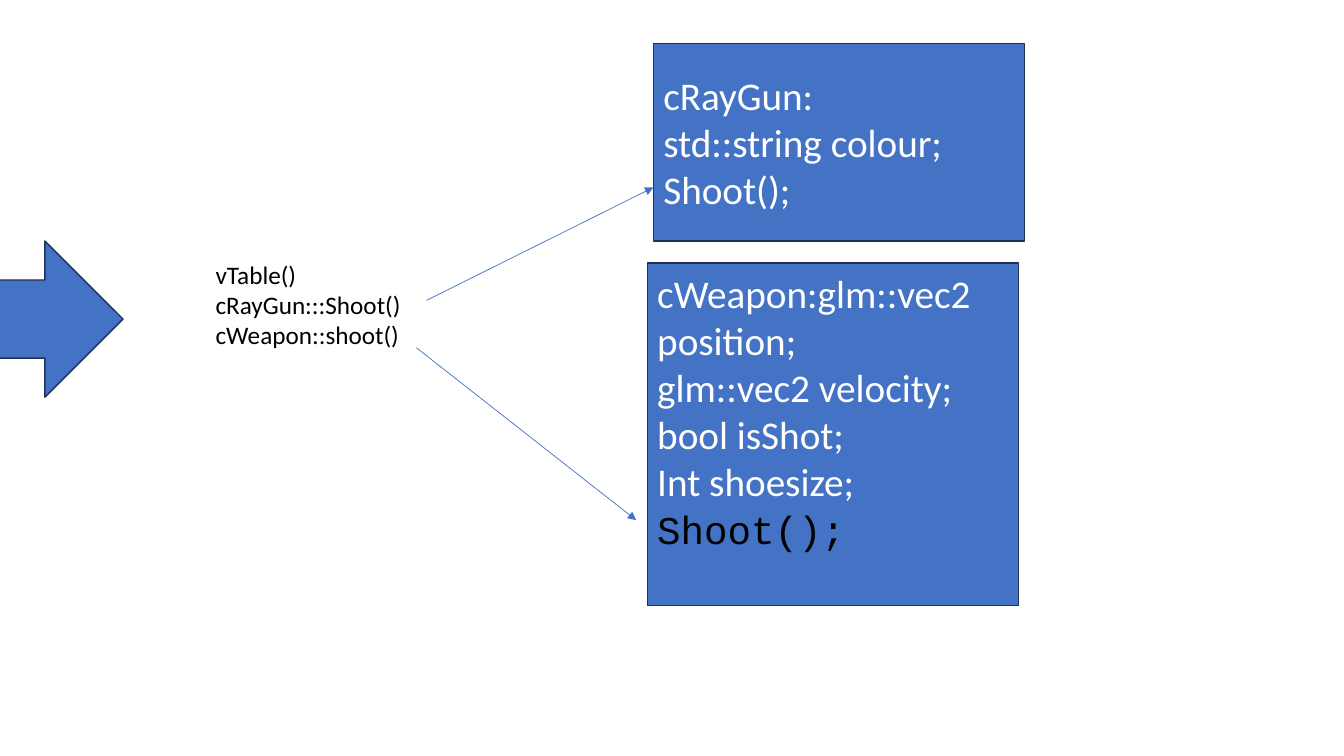
import pptx
import pptx.dml.color
import pptx.enum.shapes
import pptx.enum.text
import pptx.oxml.ns
import pptx.util
from dataclasses import dataclass
from lxml import etree
from pptx.util import Inches

SHAPE = pptx.enum.shapes.MSO_SHAPE
ANCHOR = pptx.enum.text.MSO_ANCHOR


@dataclass(frozen=True)
class Theme:
    blue: str = "4472C4"
    outline: str = "1E3256"
    white: str = "FFFFFF"
    black: str = "000000"
    body: str = "Calibri"
    code: str = "Courier New"
    class_size: int = 28
    table_size: int = 18
    outline_width: float = 1
    pointer_width: float = 0.5


THEME = Theme()

# Boxes are (left, top, width, height) in inches.
CLASSES = [
    {
        "box": (6.42, 2.61, 3.68, 3.4),
        "members": ["cWeapon:glm::vec2 position;", "glm::vec2 velocity;",
                    "bool isShot;", "Int shoesize;"],
        "code_members": ["Shoot();"],
        "space_below": 0.52,
    },
    {
        "box": (6.48, 0.43, 3.68, 1.96),
        "members": ["cRayGun:", "std::string colour;", "Shoot();"],
        "code_members": [],
        "space_below": 0.05,
    },
]
INCOMING_ARROW = (-2.5, 2.39, 3.72, 1.55)
VTABLE_BOX = (2.04, 2.52, 3.2, 1.01)
VTABLE = ["vTable()", "cRayGun:::Shoot()", "cWeapon::shoot()"]
POINTERS = [((4.23, 2.98), (6.48, 1.86)), ((4.13, 3.45), (6.31, 5.16))]


def inches(values):
    return [Inches(value) for value in values]


def rgb(colour):
    return pptx.dml.color.RGBColor.from_string(colour)


def write_lines(frame, lines, *, size, colour, font=THEME.body):
    """Add one left-aligned paragraph per line, after any text already there."""
    frame.word_wrap = True
    for line in lines:
        paragraph = frame.paragraphs[-1]
        if paragraph.runs:
            paragraph = frame.add_paragraph()
        paragraph.alignment = pptx.enum.text.PP_ALIGN.LEFT
        run = paragraph.add_run()
        run.text = line
        run.font.size = pptx.util.Pt(size)
        run.font.name = font
        run.font.color.rgb = rgb(colour)


def add_block(slide, preset, box):
    block = slide.shapes.add_shape(preset, *inches(box))
    block.shadow.inherit = False
    block.fill.solid()
    block.fill.fore_color.rgb = rgb(THEME.blue)
    block.line.color.rgb = rgb(THEME.outline)
    block.line.width = pptx.util.Pt(THEME.outline_width)
    return block


def add_class(slide, box, members, code_members, space_below):
    frame = add_block(slide, SHAPE.RECTANGLE, box).text_frame
    frame.vertical_anchor = ANCHOR.MIDDLE
    frame.margin_bottom = Inches(space_below)
    write_lines(frame, members, size=THEME.class_size, colour=THEME.white)
    write_lines(frame, code_members, size=THEME.class_size,
                colour=THEME.black, font=THEME.code)


def add_pointer(slide, start, end):
    pointer = slide.shapes.add_connector(
        pptx.enum.shapes.MSO_CONNECTOR.STRAIGHT, *inches(start + end))
    pointer.line.color.rgb = rgb(THEME.blue)
    pointer.line.width = pptx.util.Pt(THEME.pointer_width)
    qn = pptx.oxml.ns.qn
    properties = pointer.line._get_or_add_ln()
    etree.SubElement(properties, qn("a:tailEnd"), type="triangle")
    etree.SubElement(properties.getparent(), qn("a:effectLst"))


def main():
    deck = pptx.Presentation()
    deck.slide_width, deck.slide_height = inches((13.33, 7.5))
    slide = deck.slides.add_slide(deck.slide_layouts.get_by_name("Blank"))

    for weapon_class in CLASSES:
        add_class(slide, **weapon_class)
    add_block(slide, SHAPE.RIGHT_ARROW, INCOMING_ARROW)
    vtable = slide.shapes.add_textbox(*inches(VTABLE_BOX))
    write_lines(vtable.text_frame, VTABLE, size=THEME.table_size,
                colour=THEME.black)
    for start, end in POINTERS:
        add_pointer(slide, start, end)

    deck.save("out.pptx")


if __name__ == "__main__":
    main()
